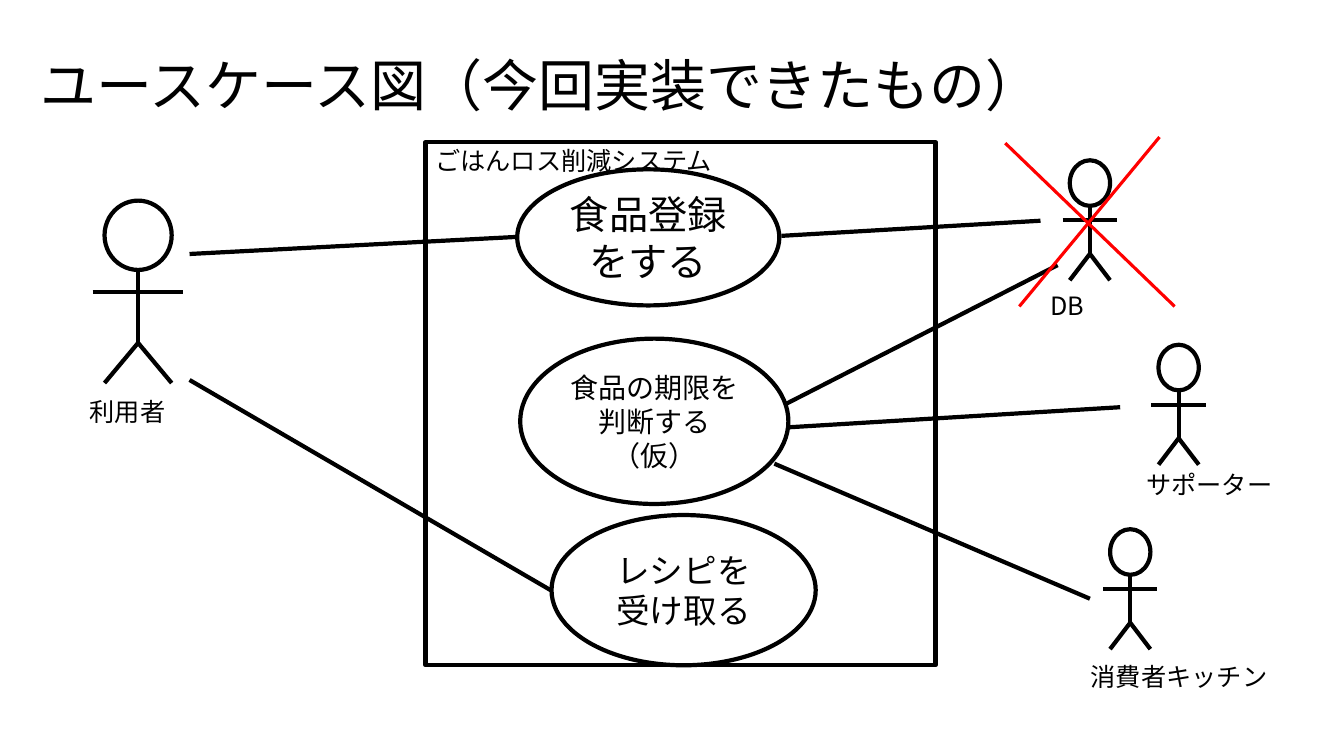
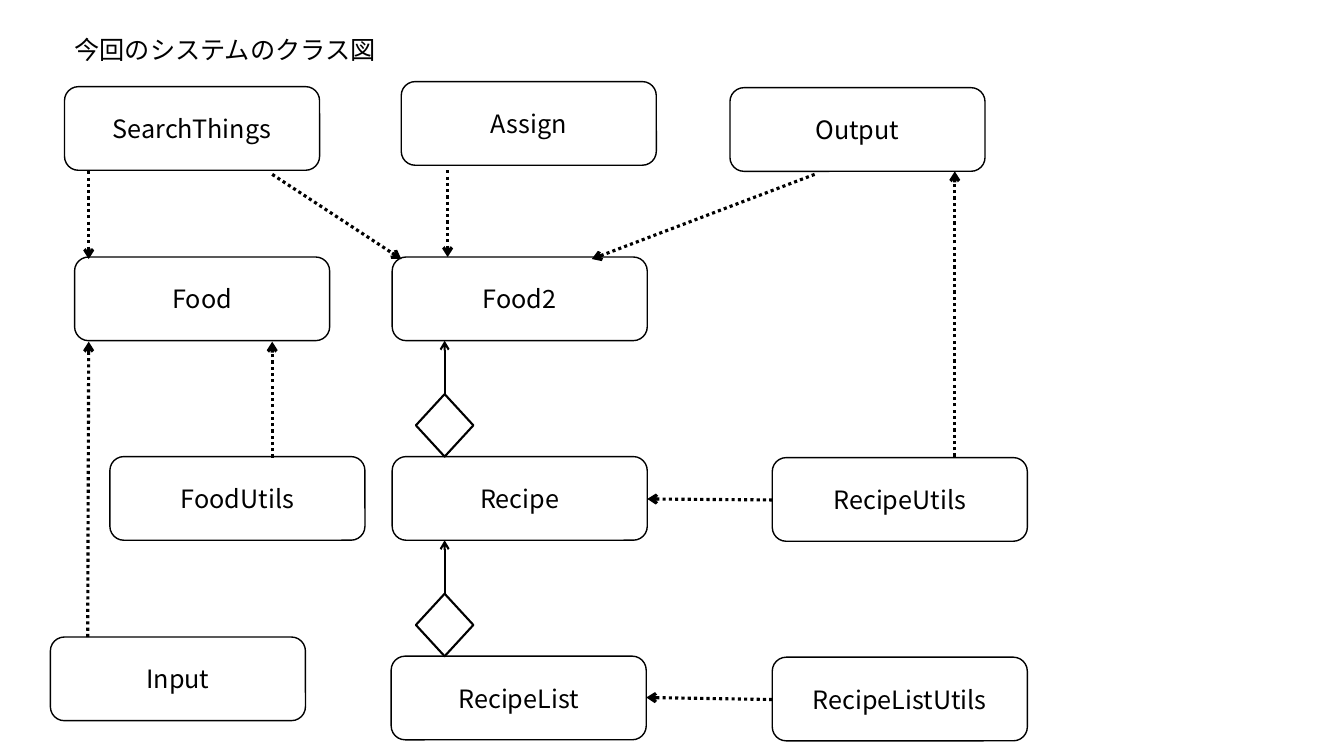
"""Build the use case diagram and the class diagram of a food loss system."""
from dataclasses import dataclass
from typing import Optional

import lxml.etree
import pptx
import pptx.dml.color
import pptx.enum.dml
import pptx.enum.shapes
import pptx.enum.text
import pptx.oxml.ns
import pptx.shapes.autoshape
import pptx.shapes.shapetree
import pptx.slide
import pptx.text.text
import pptx.util

Inches = pptx.util.Inches
Kind = pptx.enum.shapes.MSO_SHAPE
Shapes = pptx.shapes.shapetree.SlideShapes


@dataclass(frozen=True)
class Theme:
    font: str = "Noto Sans CJK JP"
    ink: str = "000000"
    paper: str = "FFFFFF"
    cross: str = "FF0000"
    title: int = 40
    label: int = 18
    heavy: float = 3
    medium: float = 2.25
    light: float = 1.5
    thin: float = 1


@dataclass(frozen=True)
class Box:
    left: float
    top: float
    width: float
    height: float
    text: str = ""
    size: int = 18


@dataclass(frozen=True)
class Line:
    x1: float
    y1: float
    x2: float
    y2: float


@dataclass(frozen=True)
class Actor:
    body: Box
    label: Box


THEME = Theme()
CLASS_WIDTH, CLASS_HEIGHT = 2.53, 0.83
DIAMOND_WIDTH, DIAMOND_HEIGHT = 0.57, 0.62
DIAMOND_CENTER = 4.41

TITLE = Box(0.3, 0.45, 11.38, 0.77, "ユースケース図（今回実装できたもの）", THEME.title)
SYSTEM = Box(4.22, 1.41, 5.06, 5.19)
SYSTEM_LABEL = Box(4.22, 1.39, 4.83, 0.4, "ごはんロス削減システム")
USE_CASES = [
    Box(5.13, 1.68, 2.6, 1.35, "食品登録をする", 28),
    Box(5.16, 3.36, 2.66, 1.64, "食品の期限を判断する（仮）", 20),
    Box(5.47, 5.11, 2.62, 1.49, "レシピを受け取る", 24),
]
ACTORS = [
    Actor(Box(0.92, 1.99, 0.9, 1.81), Box(0.79, 3.88, 1.82, 0.4, "利用者")),
    Actor(Box(10.54, 1.59, 0.54, 1.19), Box(10.32, 2.83, 1.82, 0.4, "DB")),
    Actor(Box(11.42, 3.42, 0.54, 1.19), Box(11.27, 4.61, 1.82, 0.4, "サポーター")),
    Actor(Box(10.94, 5.25, 0.54, 1.19), Box(10.72, 6.51, 2.02, 0.4, "消費者キッチン")),
]
ASSOCIATIONS = [
    Line(1.88, 2.52, 5.13, 2.35),
    Line(1.88, 3.77, 5.47, 5.86),
    Line(7.68, 4.6, 10.81, 5.94),
    Line(7.75, 2.34, 10.32, 2.19),
    Line(7.79, 4.01, 10.49, 2.63),
    Line(7.81, 4.24, 11.11, 4.04),
]
CROSS_OUT = [Line(9.97, 1.42, 11.65, 3.04), Line(11.5, 1.36, 10.11, 3.04)]

CLASS_TITLE = Box(0.64, 0.29, 3.23, 0.4, "今回のシステムのクラス図")
CLASSES = [
    Box(left, top, CLASS_WIDTH, CLASS_HEIGHT, name)
    for name, left, top in [
        ("SearchThings", 0.64, 0.86),
        ("Assign", 3.98, 0.81),
        ("Output", 7.24, 0.87),
        ("Food", 0.74, 2.55),
        ("Food2", 3.89, 2.55),
        ("FoodUtils", 1.09, 4.53),
        ("Recipe", 3.89, 4.53),
        ("RecipeUtils", 7.66, 4.54),
        ("Input", 0.5, 6.32),
        ("RecipeList", 3.88, 6.51),
        ("RecipeListUtils", 7.66, 6.52),
    ]
]
DEPENDENCIES = [
    Line(0.88, 1.7, 0.88, 2.57),
    Line(2.7, 1.73, 3.98, 2.57),
    Line(4.44, 1.69, 4.44, 2.55),
    Line(8.08, 1.73, 5.87, 2.57),
    Line(2.7, 4.54, 2.7, 3.39),
    Line(0.87, 6.32, 0.88, 3.39),
    Line(9.47, 4.53, 9.47, 1.7),
    Line(7.66, 4.96, 6.42, 4.95),
    Line(7.66, 6.94, 6.41, 6.92),
]
AGGREGATIONS = [("Recipe", "Food2"), ("RecipeList", "Recipe")]


def rgb(value: str) -> pptx.dml.color.RGBColor:
    return pptx.dml.color.RGBColor.from_string(value)


def write(frame: pptx.text.text.TextFrame, box: Box, centered: bool) -> None:
    frame.word_wrap = True
    para = frame.paragraphs[0]
    if centered:
        frame.vertical_anchor = pptx.enum.text.MSO_ANCHOR.MIDDLE
        para.alignment = pptx.enum.text.PP_ALIGN.CENTER
    span = para.add_run()
    span.text = box.text
    span.font.size = pptx.util.Pt(box.size)
    span.font.color.rgb = rgb(THEME.ink)
    span.font.name = THEME.font
    east_asian = lxml.etree.SubElement(
        span.font._element, pptx.oxml.ns.qn("a:ea"))
    east_asian.set("typeface", THEME.font)


def add_label(shapes: Shapes, box: Box) -> None:
    label = shapes.add_textbox(
        Inches(box.left), Inches(box.top), Inches(box.width), Inches(box.height))
    write(label.text_frame, box, centered=False)


def add_box(shapes: Shapes, kind: Kind, box: Box, weight: float) -> None:
    shape = shapes.add_shape(
        kind, Inches(box.left), Inches(box.top), Inches(box.width), Inches(box.height))
    shape.shadow.inherit = False
    shape.fill.solid()
    shape.fill.fore_color.rgb = rgb(THEME.paper)
    shape.line.color.rgb = rgb(THEME.ink)
    shape.line.width = pptx.util.Pt(weight)
    if box.text:
        write(shape.text_frame, box, centered=True)


def add_line(shapes: Shapes, line: Line, weight: float, color: str = THEME.ink,
             dash: Optional[pptx.enum.dml.MSO_LINE] = None, arrow: bool = False) -> None:
    connector = shapes.add_connector(
        pptx.enum.shapes.MSO_CONNECTOR.STRAIGHT,
        Inches(line.x1), Inches(line.y1), Inches(line.x2), Inches(line.y2))
    connector.line.color.rgb = rgb(color)
    connector.line.width = pptx.util.Pt(weight)
    if dash is not None:
        connector.line.dash_style = dash
    properties = connector._element.spPr
    if arrow:
        outline = properties.find(pptx.oxml.ns.qn("a:ln"))
        head = lxml.etree.SubElement(outline, pptx.oxml.ns.qn("a:tailEnd"))
        head.set("type", "arrow")
    lxml.etree.SubElement(properties, pptx.oxml.ns.qn("a:effectLst"))


def add_actor(shapes: Shapes, actor: Actor) -> None:
    body = actor.body
    center = body.left + body.width / 2
    neck, arms, hip, feet = (
        body.top + body.height * part for part in (0.38, 0.5, 0.78, 1))
    reach = body.width * 0.37
    figure = shapes.add_group_shape().shapes
    head = Box(center - reach, body.top, 2 * reach, neck - body.top)
    add_box(figure, Kind.OVAL, head, THEME.heavy)
    for limb in (
        Line(center, neck, center, hip),
        Line(body.left, arms, body.left + body.width, arms),
        Line(center, hip, center - reach, feet),
        Line(center, hip, center + reach, feet),
    ):
        add_line(figure, limb, THEME.heavy)
    add_label(shapes, actor.label)


def build_use_cases(page: pptx.slide.Slide) -> None:
    shapes = page.shapes
    add_label(shapes, TITLE)
    add_box(shapes, Kind.RECTANGLE, SYSTEM, THEME.heavy)
    for use_case in USE_CASES:
        add_box(shapes, Kind.OVAL, use_case, THEME.heavy)
    add_label(shapes, SYSTEM_LABEL)
    for actor in ACTORS:
        add_actor(shapes, actor)
    for line in ASSOCIATIONS:
        add_line(shapes, line, THEME.heavy)
    for line in CROSS_OUT:
        add_line(shapes, line, THEME.medium, THEME.cross)


def build_classes(page: pptx.slide.Slide) -> None:
    shapes = page.shapes
    add_label(shapes, CLASS_TITLE)
    for box in CLASSES:
        add_box(shapes, Kind.ROUNDED_RECTANGLE, box, THEME.thin)
    for line in DEPENDENCIES:
        add_line(shapes, line, THEME.medium,
                 dash=pptx.enum.dml.MSO_LINE.ROUND_DOT, arrow=True)
    by_name = {box.text: box for box in CLASSES}
    for whole, part in AGGREGATIONS:
        top = by_name[whole].top - DIAMOND_HEIGHT
        diamond = Box(DIAMOND_CENTER - DIAMOND_WIDTH / 2, top,
                      DIAMOND_WIDTH, DIAMOND_HEIGHT)
        add_box(shapes, Kind.DIAMOND, diamond, THEME.light)
        end = by_name[part].top + CLASS_HEIGHT
        add_line(shapes, Line(DIAMOND_CENTER, top, DIAMOND_CENTER, end),
                 THEME.light, arrow=True)


def main() -> None:
    deck = pptx.Presentation()
    deck.slide_width, deck.slide_height = Inches(13.33), Inches(7.5)
    for build in (build_use_cases, build_classes):
        build(deck.slides.add_slide(deck.slide_layouts[6]))
    deck.save("out.pptx")


if __name__ == "__main__":
    main()
